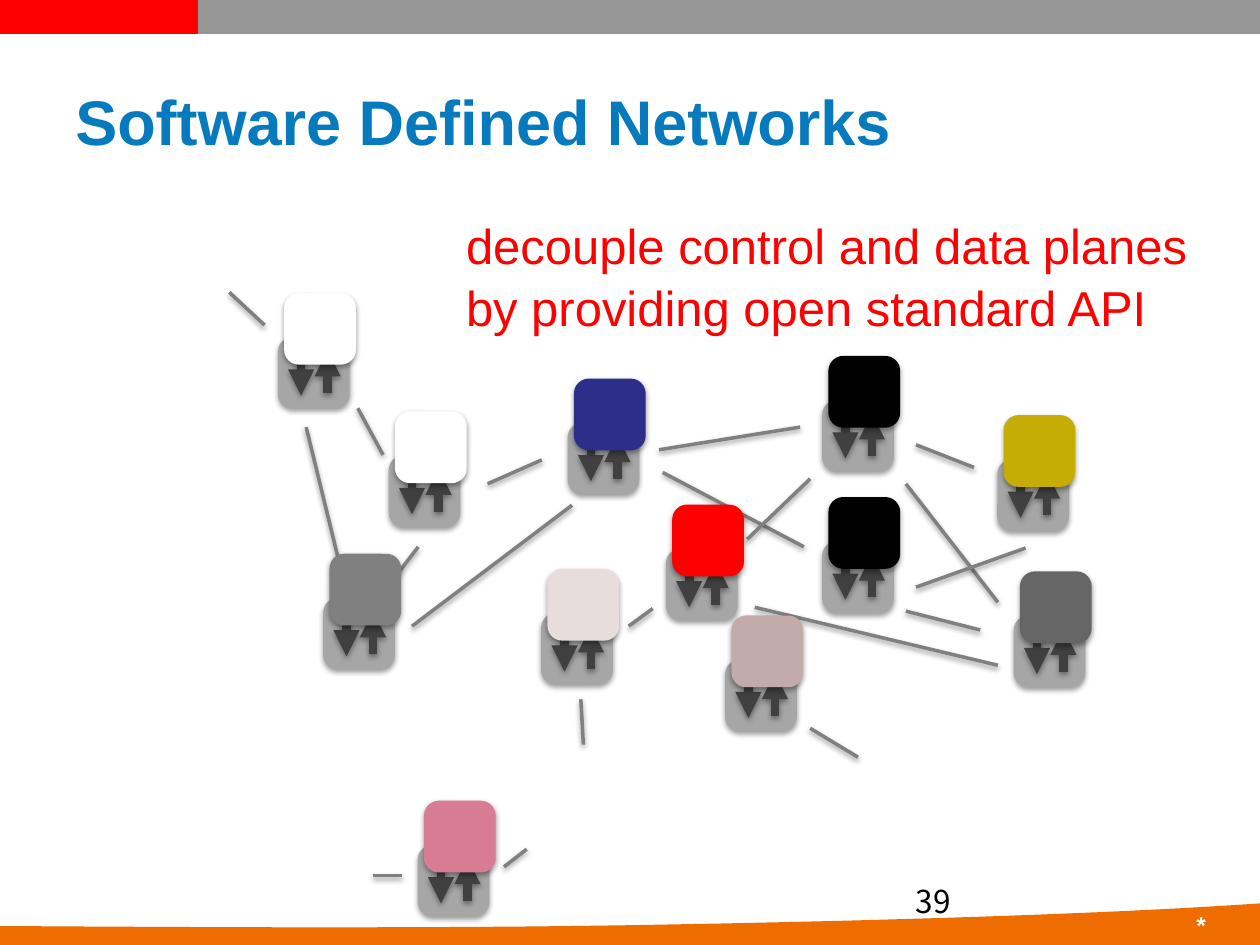
from lxml.etree import SubElement
from pptx import Presentation
from pptx.dml.color import RGBColor
from pptx.enum.shapes import MSO_CONNECTOR, MSO_SHAPE
from pptx.enum.text import MSO_ANCHOR, PP_ALIGN
from pptx.oxml.ns import qn
from pptx.util import Inches, Pt

LINKS = [
    (2.84, 3.24, 3.04, 3.61), (2.43, 3.39, 2.74, 4.66),
    (3.32, 4.34, 3.12, 4.6), (7.19, 4.85, 7.78, 5),
    (7.19, 3.84, 7.92, 4.78), (3.87, 3.84, 4.3, 3.65),
    (3.27, 4.97, 4.54, 4.01), (5.23, 3.57, 6.35, 3.39),
    (5.26, 3.75, 6.38, 4.34), (7.27, 3.53, 7.73, 3.71),
    (8.14, 4.35, 7.27, 4.66), (6.43, 5.78, 6.81, 6.01),
    (4.61, 5.55, 4.63, 5.91), (5.99, 4.82, 7.92, 5.28),
    (5.93, 4.28, 6.43, 3.8), (5.18, 4.83, 4.99, 4.97),
    (1.82, 2.32, 2.1, 2.58), (2.96, 6.95, 3.19, 6.95),
    (4.18, 6.74, 4, 6.88),
]
SWITCHES = [
    (2.24, 2.71, "FFFFFF"), (2.6, 4.78, "808080"),
    (3.12, 3.65, "FFFFFF"), (8.08, 4.92, "666666"),
    (6.56, 4.33, "000000"), (6.56, 3.21, "000000"),
    (4.54, 3.39, "2D2D8A"), (4.33, 4.9, "E7DDDD"),
    (5.79, 5.27, "C3ABAB"), (5.32, 4.39, "FF0000"),
    (3.35, 6.74, "D77C93"), (7.95, 3.68, "C6AD06"),
]
WAVE_CURVES = [
    ((0, 7.35), (1.76, 7.36), (3.52, 7.37), (5.19, 7.34)),
    ((5.19, 7.34), (6.86, 7.31), (8.7, 7.26), (10, 7.17)),
]
CURVE_STEPS = 20


def color(hex_value):
    return RGBColor.from_string(hex_value)


def set_shadow(shape, visible=True):
    effects = SubElement(shape._element.spPr, qn("a:effectLst"))
    if visible:
        shadow = SubElement(effects, qn("a:outerShdw"), blurRad="40000",
                            dist="20000", dir="5400000", rotWithShape="0")
        black = SubElement(shadow, qn("a:srgbClr"), val="000000")
        SubElement(black, qn("a:alpha"), val="38000")


def add_line(slide, ends, hex_value, width, arrow_end=None, shadow=True):
    connector = slide.shapes.add_connector(
        MSO_CONNECTOR.STRAIGHT, *(Inches(value) for value in ends))
    connector.line.color.rgb = color(hex_value)
    connector.line.width = Pt(width)
    if arrow_end:
        SubElement(connector.line._get_or_add_ln(), qn(f"a:{arrow_end}"),
                   type="triangle")
    set_shadow(connector, shadow)


def add_block(slide, left, top, hex_value):
    shape = slide.shapes.add_shape(
        MSO_SHAPE.ROUNDED_RECTANGLE, Inches(left), Inches(top),
        Inches(0.5), Inches(0.5))
    shape.fill.solid()
    shape.fill.fore_color.rgb = color(hex_value)
    shape.line.color.rgb = color(hex_value)
    shape.line.width = Pt(5)
    set_shadow(shape)


def add_text(slide, box, lines, size, hex_value, font="Arial", bold=False,
             align=PP_ALIGN.LEFT, anchor=MSO_ANCHOR.TOP, spacing=1.0):
    shape = slide.shapes.add_textbox(*(Inches(value) for value in box))
    frame = shape.text_frame
    frame.word_wrap = True
    frame.vertical_anchor = anchor
    paragraph = frame.paragraphs[0]
    paragraph.alignment = align
    paragraph.line_spacing = spacing
    for index, line in enumerate(lines):
        if index:
            paragraph.add_line_break()
        run = paragraph.add_run()
        run.text = line
        run.font.name = font
        run.font.size = Pt(size)
        run.font.bold = bold
        run.font.color.rgb = color(hex_value)


def curve_point(curve, t):
    weights = ((1 - t) ** 3, 3 * t * (1 - t) ** 2, 3 * t ** 2 * (1 - t), t ** 3)
    return tuple(Inches(sum(weight * point[axis]
                            for weight, point in zip(weights, curve)))
                 for axis in (0, 1))


def add_wave(slide):
    points = [curve_point(curve, step / CURVE_STEPS)
              for curve in WAVE_CURVES for step in range(1, CURVE_STEPS + 1)]
    builder = slide.shapes.build_freeform(Inches(0), Inches(7.35), scale=1.0)
    corners = [(Inches(10), Inches(7.5)), (Inches(0), Inches(7.5))]
    builder.add_line_segments(points + corners, close=True)
    wave = builder.convert_to_shape()
    wave.shadow.inherit = False
    wave.fill.solid()
    wave.fill.fore_color.rgb = color("EE6C00")
    wave.line.fill.background()


def add_frame(slide):
    add_line(slide, (0, 0.13, 10, 0.13), "969696", 20, shadow=False)
    add_wave(slide)
    add_text(slide, (9, 7.17, 0.67, 0.33), ["*"], 14, "FFFFFF", bold=True,
             align=PP_ALIGN.RIGHT)
    add_line(slide, (0, 0.13, 1.57, 0.13), "FF0000", 20, shadow=False)


def add_switch_arrows(slide, left, top):
    down, up = left + 0.15, left + 0.36
    add_line(slide, (down, top + 0.1, down, top + 0.43), "404040", 5, "tailEnd")
    add_line(slide, (up, top + 0.07, up, top + 0.41), "404040", 5, "headEnd")


def main():
    presentation = Presentation()
    presentation.slide_width = Inches(10)
    presentation.slide_height = Inches(7.5)
    slide = presentation.slides.add_slide(presentation.slide_layouts[6])

    add_frame(slide)
    for link in LINKS:
        add_line(slide, link, "808080", 2)
    for left, top, _ in SWITCHES:
        add_block(slide, left, top, "A6A6A6")
    for left, top, _ in SWITCHES:
        add_switch_arrows(slide, left, top)
    add_text(slide, (3.6, 1.64, 6.11, 1.04),
             ["decouple control and data planes",
              "by providing open standard API"], 28, "FF0000", spacing=1.05)
    add_text(slide, (0.5, 0.33, 9, 1.25), ["Software Defined Networks"], 36,
             "067ABD", bold=True, anchor=MSO_ANCHOR.MIDDLE)
    add_text(slide, (7.17, 6.95, 2.33, 0.4), ["39"], 18, "000000",
             font="Noto Sans CJK SC")
    for left, top, hex_value in SWITCHES:
        add_block(slide, left + 0.05, top - 0.35, hex_value)

    presentation.save("out.pptx")


if __name__ == "__main__":
    main()
